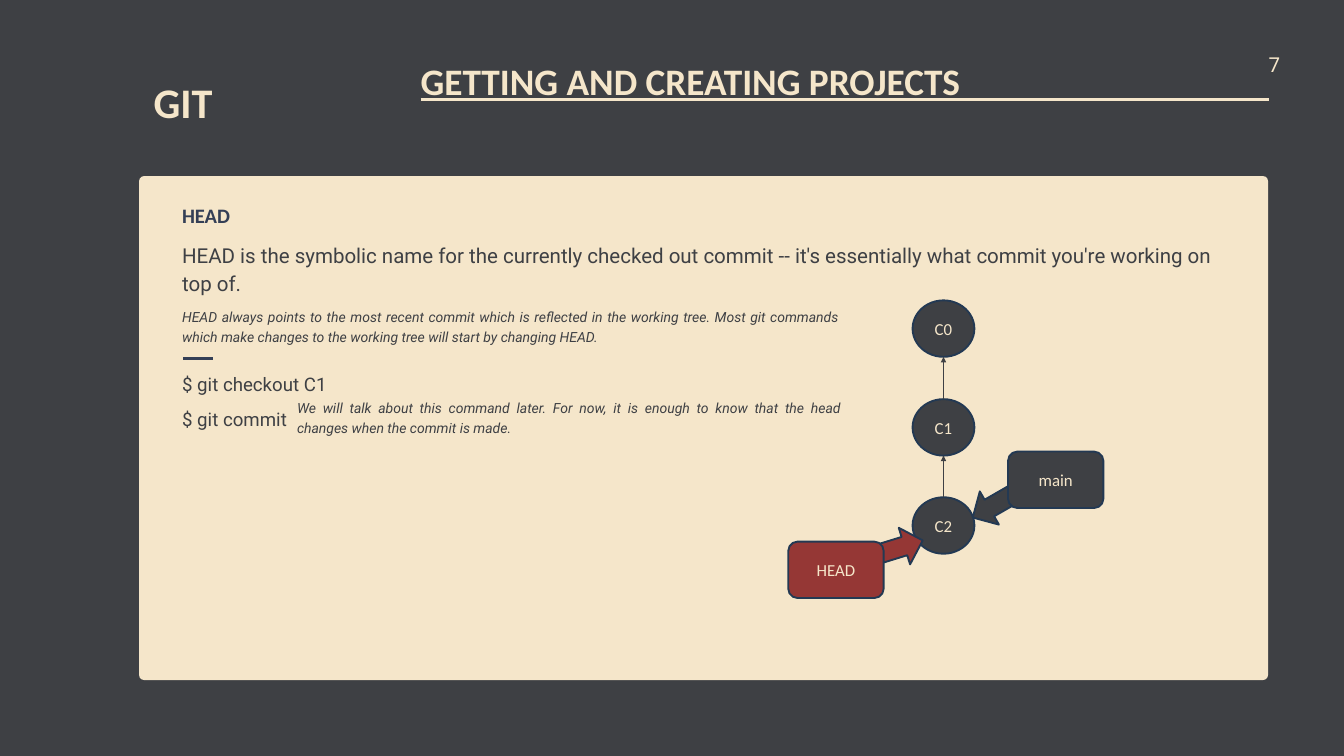
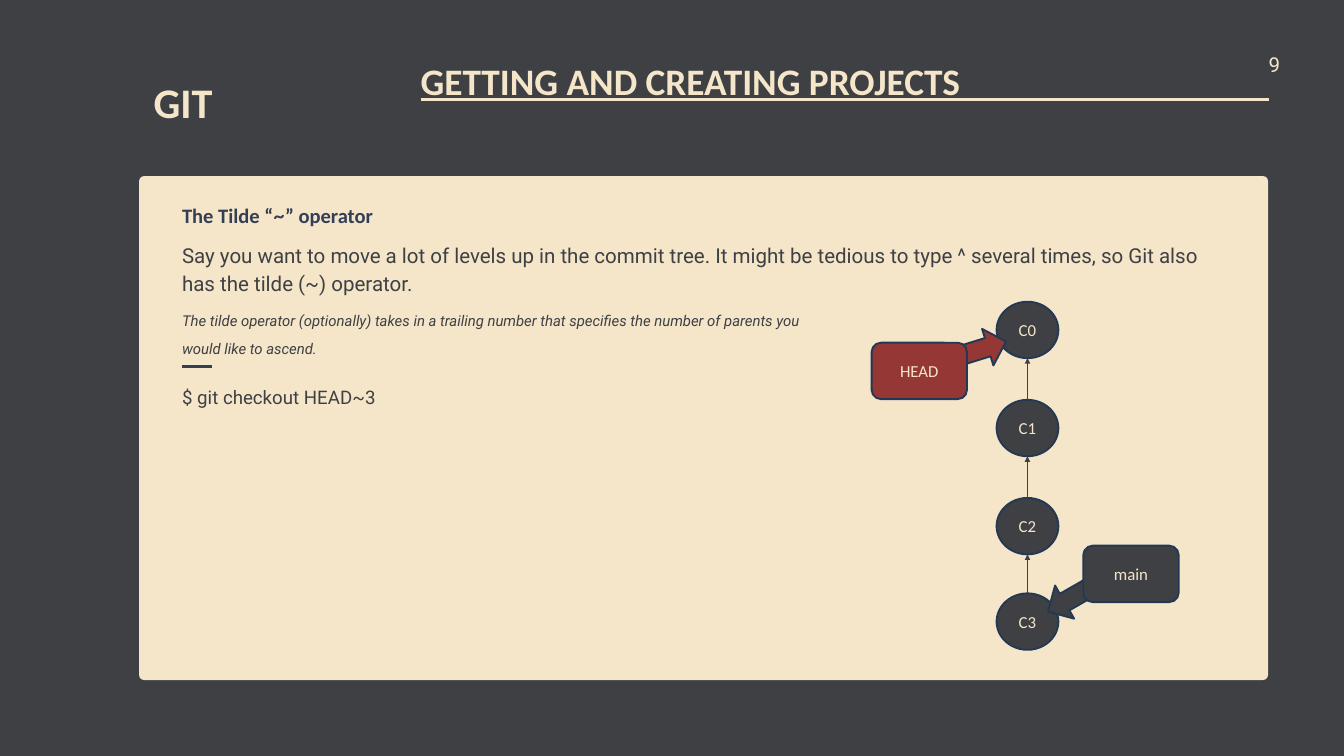
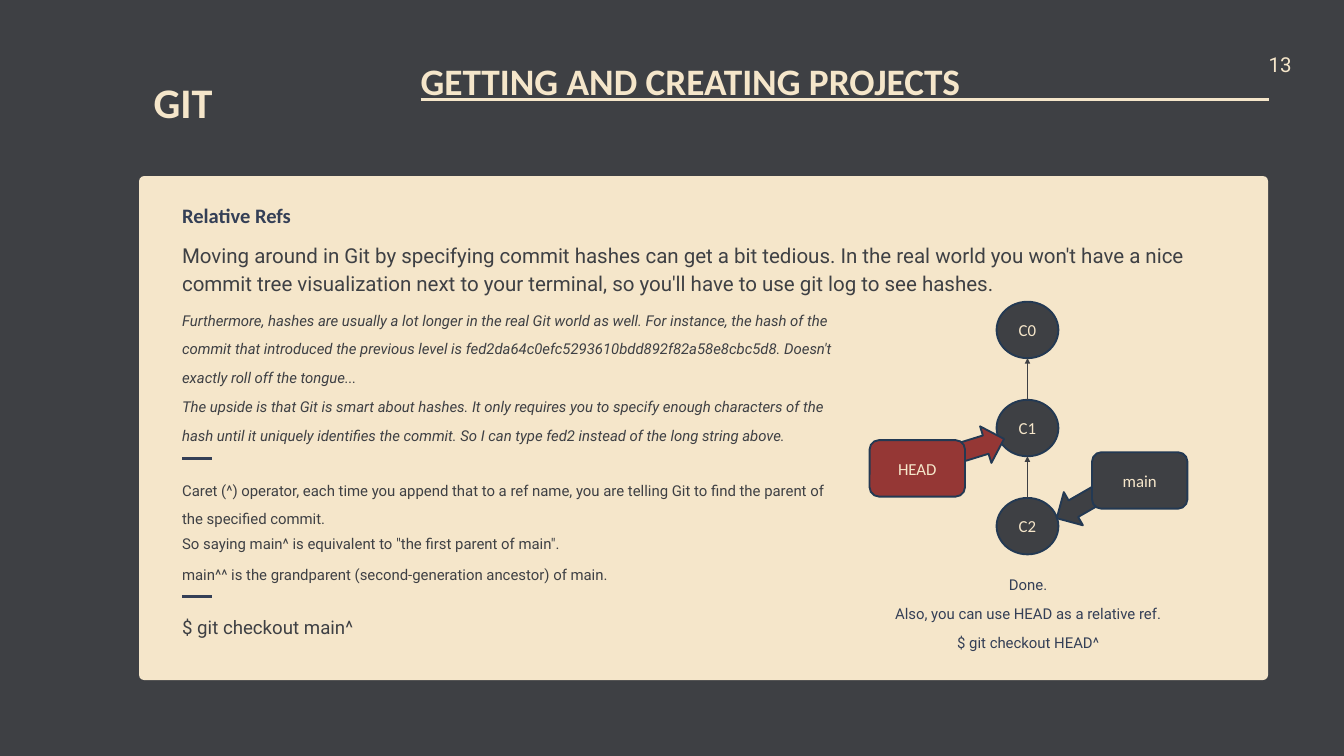
import pptx
import pptx.util
import pptx.dml.color
import pptx.enum.shapes
import pptx.enum.text
import pptx.oxml
import pptx.oxml.ns
import lxml.etree

Inches = pptx.util.Inches
Pt = pptx.util.Pt
RGBColor = pptx.dml.color.RGBColor
SHAPE = pptx.enum.shapes.MSO_SHAPE
ALIGN = pptx.enum.text.PP_ALIGN

CHARCOAL = RGBColor(0x3E, 0x40, 0x44)
CREAM = RGBColor(0xF5, 0xE6, 0xCA)
NAVY = RGBColor(0x34, 0x3F, 0x56)
OUTLINE = RGBColor(0x23, 0x39, 0x53)
RED = RGBColor(0x95, 0x37, 0x35)

BODY_LEFT = 2.71
NOTE_WIDTH = 9.78
NODE_WIDTH, NODE_HEIGHT = 0.92, 0.84
LABEL_WIDTH, LABEL_HEIGHT = 1.42, 0.84


def style_span(span, size, color, font="Roboto", bold=False, italic=False):
    span.font.size = Pt(size)
    span.font.color.rgb = color
    span.font.name = font
    span.font.bold = bold
    span.font.italic = italic


def fill_text(box, paragraphs, size, color, spacing, align=ALIGN.LEFT, **style):
    frame = box.text_frame
    frame.margin_left = frame.margin_right = frame.margin_top = frame.margin_bottom = 0
    frame.word_wrap = True
    frame.vertical_anchor = pptx.enum.text.MSO_ANCHOR.TOP
    frame.auto_size = pptx.enum.text.MSO_AUTO_SIZE.SHAPE_TO_FIT_TEXT
    for index, pieces in enumerate(paragraphs):
        para = frame.add_paragraph() if index else frame.paragraphs[0]
        para.text = pieces
        para.alignment = align
        para.line_spacing = Pt(spacing)
        para.space_before = Pt(0)
        for span in para.runs:
            style_span(span, size, color, **style)


def add_text(page, left, top, width, height, paragraphs, size, color, spacing, **style):
    box = page.shapes.add_textbox(Inches(left), Inches(top), Inches(width), Inches(height))
    fill_text(box, paragraphs, size, color, spacing, **style)
    return box


def add_shape(page, kind, left, top, width, height, fill, text="", outlined=True):
    shape = page.shapes.add_shape(kind, Inches(left), Inches(top), Inches(width), Inches(height))
    shape.shadow.inherit = False
    shape.fill.solid()
    shape.fill.fore_color.rgb = fill
    if outlined:
        shape.line.color.rgb = OUTLINE
        shape.line.width = Pt(2)
    else:
        shape.line.fill.background()
    if text:
        shape.text_frame.text = text
        shape.text_frame.vertical_anchor = pptx.enum.text.MSO_ANCHOR.MIDDLE
        para = shape.text_frame.paragraphs[0]
        para.alignment = ALIGN.CENTER
        style_span(para.runs[0], 18, CREAM, "Calibri")
    return shape


def add_line(page, start, end, color, width, arrow=False):
    line = page.shapes.add_connector(
        pptx.enum.shapes.MSO_CONNECTOR.STRAIGHT,
        Inches(start[0]), Inches(start[1]), Inches(end[0]), Inches(end[1]))
    line.line.color.rgb = color
    line.line.width = Pt(width)
    if arrow:
        tail = lxml.etree.SubElement(line.line._get_or_add_ln(), pptx.oxml.ns.qn("a:tailEnd"))
        tail.set("type", "triangle")
    lxml.etree.SubElement(line._element.spPr, pptx.oxml.ns.qn("a:effectLst"))


def add_divider(page, top, left=BODY_LEFT):
    add_line(page, (left, top), (left + 0.44, top), NAVY, 3)


def add_command(page, top, text):
    add_text(page, BODY_LEFT, top, 9.81, 0.36, [text], 20, CHARCOAL, 28, align=ALIGN.JUSTIFY)


def add_remark(page, left, top, width, text):
    add_text(page, left, top, width, 0.57, [text], 15, CHARCOAL, 21,
             align=ALIGN.JUSTIFY, italic=True)


def add_note(page, top, height, paragraphs, italic=False):
    add_text(page, BODY_LEFT, top, NOTE_WIDTH, height, paragraphs, 16, CHARCOAL, 30.8,
             italic=italic)


def add_commits(page, left, tops):
    center = left + NODE_WIDTH / 2
    for index, top in enumerate(tops):
        add_shape(page, SHAPE.OVAL, left, top, NODE_WIDTH, NODE_HEIGHT, CHARCOAL, f"C{index}")
    for parent, child in zip(tops, tops[1:]):
        add_line(page, (center, child), (center, parent + NODE_HEIGHT), CHARCOAL, 0.75, arrow=True)


def add_pointer(page, left, top, text, color, shift, rotation):
    arrow = add_shape(page, SHAPE.RIGHT_ARROW, left + shift[0], top + shift[1], 0.83, 0.57, color)
    arrow.rotation = rotation
    add_shape(page, SHAPE.ROUNDED_RECTANGLE, left, top, LABEL_WIDTH, LABEL_HEIGHT, color, text)


def add_main_pointer(page, left, top):
    add_pointer(page, left, top, "main", CHARCOAL, (-0.58, 0.49), 150.1)


def add_head_pointer(page, left, top):
    add_pointer(page, left, top, "HEAD", RED, (1.19, -0.18), 342.8)


def add_heading(page, pieces):
    box = add_text(page, BODY_LEFT, 2.96, 4.04, 0.4, [""], 22, NAVY, 30.8)
    for piece in pieces:
        span = box.text_frame.paragraphs[0].add_run()
        span.text = piece
        style_span(span, 22, NAVY, "Lato" if piece == "~" else "Calibri", bold=True)


def add_page(deck, number, heading, lead):
    page = deck.slides.add_slide(deck.slide_layouts[5])
    panel = add_shape(page, SHAPE.ROUNDED_RECTANGLE, 2.07, 2.62, 16.8, 7.5, CREAM, outlined=False)
    panel.adjustments[0] = 0.01
    add_line(page, (6.26, 1.48), (18.88, 1.48), CREAM, 3)
    title = page.shapes.title
    title.left, title.top = Inches(6.26), Inches(0.77)
    title.width, title.height = Inches(12.61), Inches(0.66)
    fill_text(title, ["GETTING AND CREATING PROJECTS"], 40, CREAM, 55.1, font="Calibri", bold=True)
    add_text(page, 2.07, 1.01, 1.31, 0.88, ["GIT"], 45.1, CREAM, 63.2,
             align=ALIGN.CENTER, font="Calibri", bold=True)
    add_text(page, 18.88, 0.71, 0.46, 0.42, [number], 22, CREAM, 30.8)
    add_heading(page, heading)
    add_text(page, BODY_LEFT, 3.55, 15.37, 0.84, [lead], 22, CHARCOAL, 30.8)
    return page


def add_head_page(deck):
    page = add_page(
        deck, "7", ["HEAD"],
        "HEAD is the symbolic name for the currently checked out commit -- it's essentially "
        "what commit you're working on top of.")
    add_remark(
        page, BODY_LEFT, 4.55, NOTE_WIDTH,
        "HEAD always points to the most recent commit which is reflected in the working tree. "
        "Most git commands which make changes to the working tree will start by changing HEAD.")
    add_divider(page, 5.33, 2.73)
    add_command(page, 5.5, "$ git checkout C1")
    add_command(page, 6.02, "$ git commit")
    add_remark(
        page, 4.42, 5.91, 8.1,
        "We will talk about this command later. For now, it is enough to know that the head "
        "changes when the commit is made.")
    add_commits(page, 13.58, [4.47, 5.94, 7.4])
    add_main_pointer(page, 15, 6.72)
    add_head_pointer(page, 11.73, 8.06)


def add_tilde_page(deck):
    page = add_page(
        deck, "9", ["The Tilde “", "~", "” operator"],
        "Say you want to move a lot of levels up in the commit tree. It might be tedious to "
        "type ^ several times, so Git also has the tilde (~) operator.")
    add_note(
        page, 4.47, 0.82,
        ["The tilde operator (optionally) takes in a trailing number that specifies the number "
         "of parents you would like to ascend."], italic=True)
    add_divider(page, 5.45)
    add_command(page, 5.68, "$ git checkout HEAD~3")
    add_commits(page, 14.83, [4.49, 5.95, 7.41, 8.83])
    add_head_pointer(page, 12.97, 5.1)
    add_main_pointer(page, 16.12, 8.12)


def add_relative_refs_page(deck):
    page = add_page(
        deck, "13", ["Relative Refs"],
        "Moving around in Git by specifying commit hashes can get a bit tedious. In the real "
        "world you won't have a nice commit tree visualization next to your terminal, so "
        "you'll have to use git log to see hashes.")
    add_note(
        page, 4.47, 2.12,
        ["Furthermore, hashes are usually a lot longer in the real Git world as well. For "
         "instance, the hash of the commit that introduced the previous level is "
         "fed2da64c0efc5293610bdd892f82a58e8cbc5d8. Doesn't exactly roll off the tongue...",
         "The upside is that Git is smart about hashes. It only requires you to specify enough "
         "characters of the hash until it uniquely identifies the commit. So I can type fed2 "
         "instead of the long string above."], italic=True)
    add_divider(page, 6.82)
    add_note(
        page, 7, 0.82,
        ["Caret (^) operator, each time you append that to a ref name, you are telling Git to "
         "find the parent of the specified commit."])
    add_note(page, 7.8, 0.38, ['So saying main^ is equivalent to "the first parent of main".'])
    add_note(page, 8.26, 0.38,
             ["main^^ is the grandparent (second-generation ancestor) of main."])
    add_divider(page, 8.88)
    add_command(page, 9.11, "$ git checkout main^")
    add_commits(page, 14.83, [4.49, 5.95, 7.41])
    add_main_pointer(page, 16.25, 6.73)
    add_head_pointer(page, 12.94, 6.55)
    add_text(
        page, 12.92, 8.41, 4.76, 1.25,
        ["Done.\nAlso, you can use HEAD as a relative ref.\n$ git checkout HEAD^"],
        16, NAVY, 30.8, align=ALIGN.CENTER)


def main():
    deck = pptx.Presentation()
    deck.slide_width, deck.slide_height = Inches(20), Inches(11.25)
    backdrop = deck.slide_master.background.fill
    backdrop.solid()
    backdrop.fore_color.rgb = CHARCOAL
    add_head_page(deck)
    add_tilde_page(deck)
    add_relative_refs_page(deck)
    deck.save("out.pptx")


if __name__ == "__main__":
    main()
